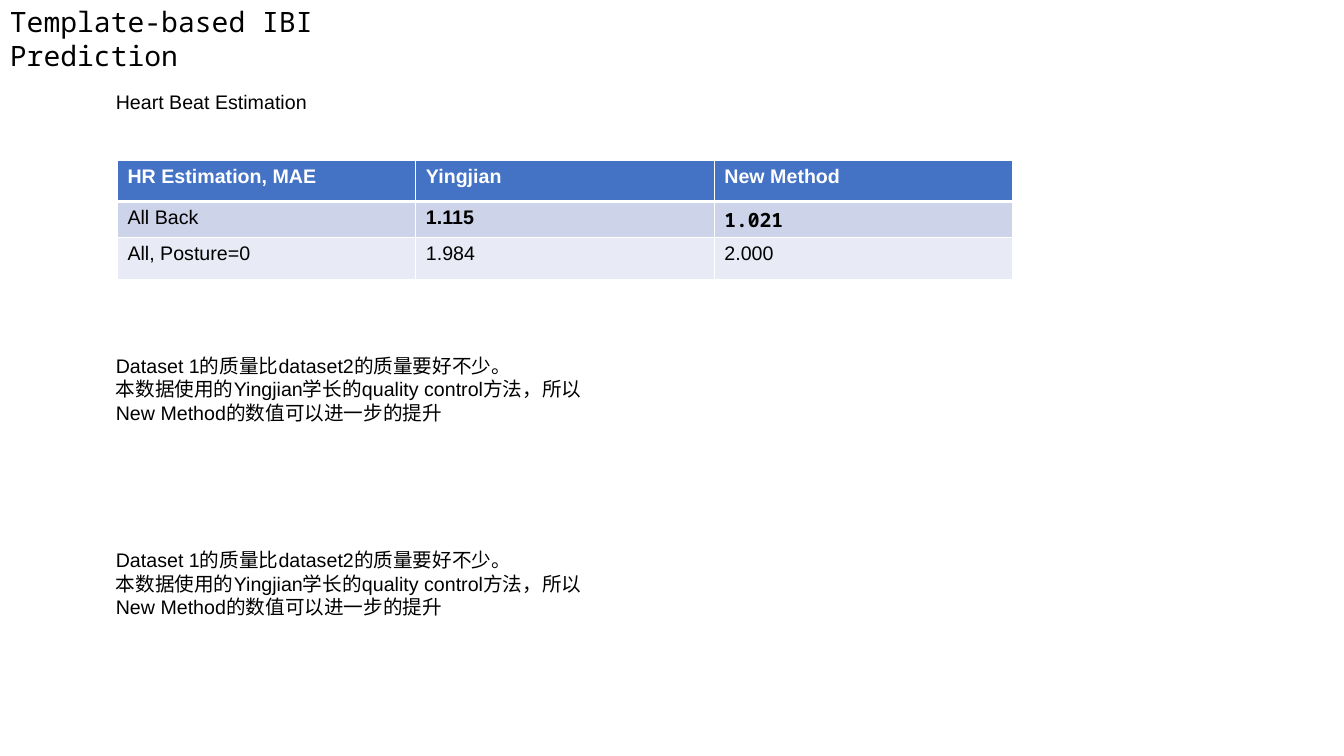
from lxml.etree import SubElement
from pptx import Presentation
from pptx.dml.color import RGBColor
from pptx.oxml.ns import qn
from pptx.util import Inches, Pt

COLORS = {"ink": "000000", "line": "FFFFFF", "head": "4472C4",
          "odd": "CDD4EA", "even": "E8EBF5"}
SANS, MONO = "Arial", "Noto Sans Mono"
UNIT = Inches(0.1)  # side of one grid square
LEFT, WIDE = 10.5, 50.1  # text column
HEADS = ["HR Estimation, MAE", "Yingjian", "New Method"]
ROWS = [["All Back", "1.115", "1.021"],
        ["All, Posture=0", "1.984", "2.000"]]
HIGHS = [4.1, 3.6, 4.1]
BOLD = {(1, 1), (1, 2)}
NOTE = ["Dataset 1的质量比dataset2的质量要好不少。",
        "本数据使用的Yingjian学长的quality control方法，所以"
        "New Method的数值可以进一步的提升"]


def grid(*squares):
    return [round(n * UNIT) for n in squares]


def color(name):
    return RGBColor.from_string(COLORS[name])


def style(para, size=14, face=SANS, tint="ink", bold=False):
    font = para.font
    font.size, font.name, font.bold = Pt(size), face, bold
    font.color.rgb = color(tint)


def add_text(slide, box, lines, **look):
    frame = slide.shapes.add_textbox(*grid(*box)).text_frame
    frame.word_wrap = True
    frame.text = "\n".join(lines)
    for para in frame.paragraphs:
        style(para, **look)


def add_edge(cell, side, width):
    edge = SubElement(cell._tc.get_or_add_tcPr(), qn(f"a:ln{side}"),
                      w=str(Pt(width)))
    fill = SubElement(edge, qn("a:solidFill"))
    SubElement(fill, qn("a:srgbClr"), val=COLORS["line"])


def fill_cell(cell, text, row, col):
    head = row == 0
    cell.text = text
    style(cell.text_frame.paragraphs[0],
          face=MONO if (row, col) == (1, 2) else SANS,
          tint="line" if head else "ink",
          bold=head or (row, col) in BOLD)
    for side in "LRTB":
        thick = (row, side) in {(0, "B"), (1, "T")}
        add_edge(cell, side, 3 if thick else 1)
    cell.fill.solid()
    cell.fill.fore_color.rgb = color(("head", "odd", "even")[row])


def add_scores(slide):
    data = [HEADS, *ROWS]
    box = grid(11.65, 15.9, 88.8, sum(HIGHS))
    table = slide.shapes.add_table(len(data), len(HEADS), *box).table
    for row, (texts, high) in enumerate(zip(data, HIGHS)):
        table.rows[row].height = grid(high)[0]
        for col, text in enumerate(texts):
            fill_cell(table.cell(row, col), text, row, col)


def main():
    deck = Presentation()
    deck.slide_width, deck.slide_height = Inches(13.33), Inches(7.5)
    slide = deck.slides.add_slide(deck.slide_layouts[6])
    add_text(slide, (0, 0, 46.7, 4.4), ["Template-based IBI Prediction"],
             size=20, face=MONO)
    add_scores(slide)
    add_text(slide, (LEFT, 8.4, WIDE, 3.4), ["Heart Beat Estimation"])
    for top, high in ((34.6, 10.4), (53.9, 8.1)):
        add_text(slide, (LEFT, top, WIDE, high), NOTE)
    deck.save("out.pptx")


if __name__ == "__main__":
    main()
